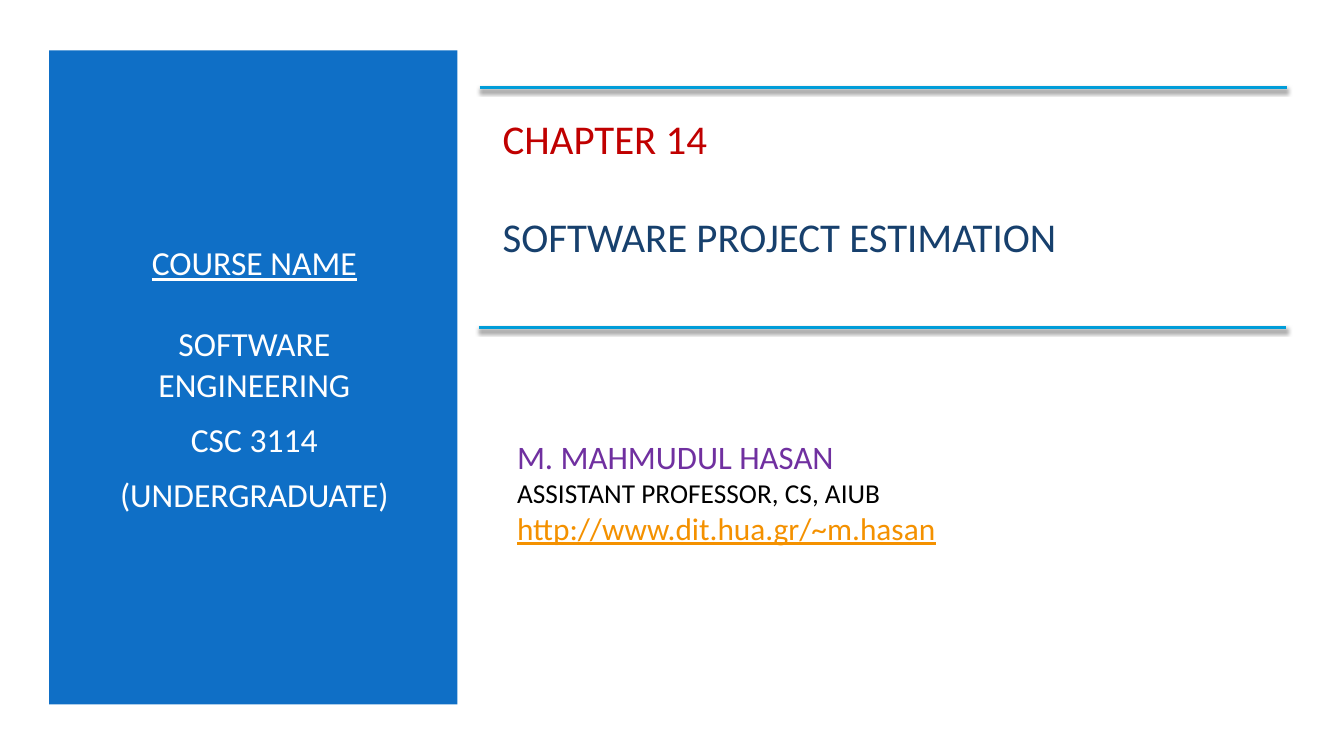
from pptx import Presentation
from pptx.util import Cm, Pt
from pptx.dml.color import RGBColor
from pptx.enum.shapes import MSO_SHAPE, MSO_CONNECTOR
from pptx.enum.text import PP_ALIGN, MSO_ANCHOR
from pptx.oxml import parse_xml
from pptx.oxml.ns import nsdecls

COLORS = {
    "panel": "0F6FC6",
    "panel_text": "FFFFFF",
    "rule": "009DD9",
    "chapter": "C00000",
    "title": "17406D",
    "author": "7030A0",
    "role": "000000",
    "link": "F49100",
}
FONT = "Calibri"

RULE_SHADOW = (
    f'<a:effectLst {nsdecls("a")}>'
    '<a:outerShdw blurRad="38100" dist="25400" dir="5400000" rotWithShape="0">'
    '<a:srgbClr val="000000"><a:alpha val="55000"/></a:srgbClr>'
    '</a:outerShdw></a:effectLst>'
)


def color(name):
    return RGBColor.from_string(COLORS[name])


def add_text(s, box, lines, align=PP_ALIGN.LEFT):
    """Each line is (text, size, color name, underline, space before)."""
    tf = s.shapes.add_textbox(*map(Cm, box)).text_frame
    tf.word_wrap = True
    tf.vertical_anchor = MSO_ANCHOR.MIDDLE
    for i, (text, size, name, underline, before) in enumerate(lines):
        p = tf.paragraphs[0] if i == 0 else tf.add_paragraph()
        p.text = text
        p.alignment = align
        p.space_before = Pt(before)
        p.font.name = FONT
        p.font.size = Pt(size)
        p.font.underline = underline
        p.font.color.rgb = color(name)


def add_rule(s, x, y, width):
    line = s.shapes.add_connector(
        MSO_CONNECTOR.STRAIGHT, Cm(x), Cm(y), Cm(x + width), Cm(y))
    line.line.color.rgb = color("rule")
    line.line.width = Pt(2)
    line._element.spPr.append(parse_xml(RULE_SHADOW))


def add_course_panel(s, x, y, w, h):
    sp = s.shapes.add_shape(MSO_SHAPE.RECTANGLE, Cm(x), Cm(y), Cm(w), Cm(h))
    sp.shadow.inherit = False
    sp.fill.solid()
    sp.fill.fore_color.rgb = color("panel")
    sp.line.fill.background()
    lines = [
        ("COURSE NAME", 24, "panel_text", True, 0),
        ("SOFTWARE ENGINEERING", 24, "panel_text", False, 29),
        ("CSC 3114", 24, "panel_text", False, 10.8),
        ("(UNDERGRADUATE)", 24, "panel_text", False, 10.8),
    ]
    add_text(s, (x + 0.89, y + 1.6, w - 1.73, h - 3.15), lines, PP_ALIGN.CENTER)


def add_title_block(s, x, y, w, h):
    # Rules above and below the chapter title
    add_rule(s, x + 0.02, y, w)
    add_rule(s, x, y + h, w)
    lines = [
        ("CHAPTER 14", 29.2, "chapter", False, 0),
        ("SOFTWARE PROJECT ESTIMATION", 29.2, "title", False, 35),
    ]
    add_text(s, (x + 0.35, y + 0.58, w - 0.41, 3.84), lines)


def add_author_block(s, x, y, w, h):
    lines = [
        ("M. MAHMUDUL HASAN", 23.4, "author", False, 0),
        ("ASSISTANT PROFESSOR, CS, AIUB", 19.5, "role", False, 0),
        ("http://www.dit.hua.gr/~m.hasan", 22.4, "link", True, 0),
    ]
    add_text(s, (x, y, w, h), lines)


def main():
    prs = Presentation()
    prs.slide_width, prs.slide_height = Cm(33.87), Cm(19.05)
    s = prs.slides.add_slide(prs.slide_layouts[6])
    add_course_panel(s, 1.24, 1.27, 10.29, 16.48)
    add_title_block(s, 12.07, 2.21, 20.35, 6.05)
    add_author_block(s, 12.78, 10.41, 16.92, 3.96)
    prs.save("out.pptx")


if __name__ == "__main__":
    main()
